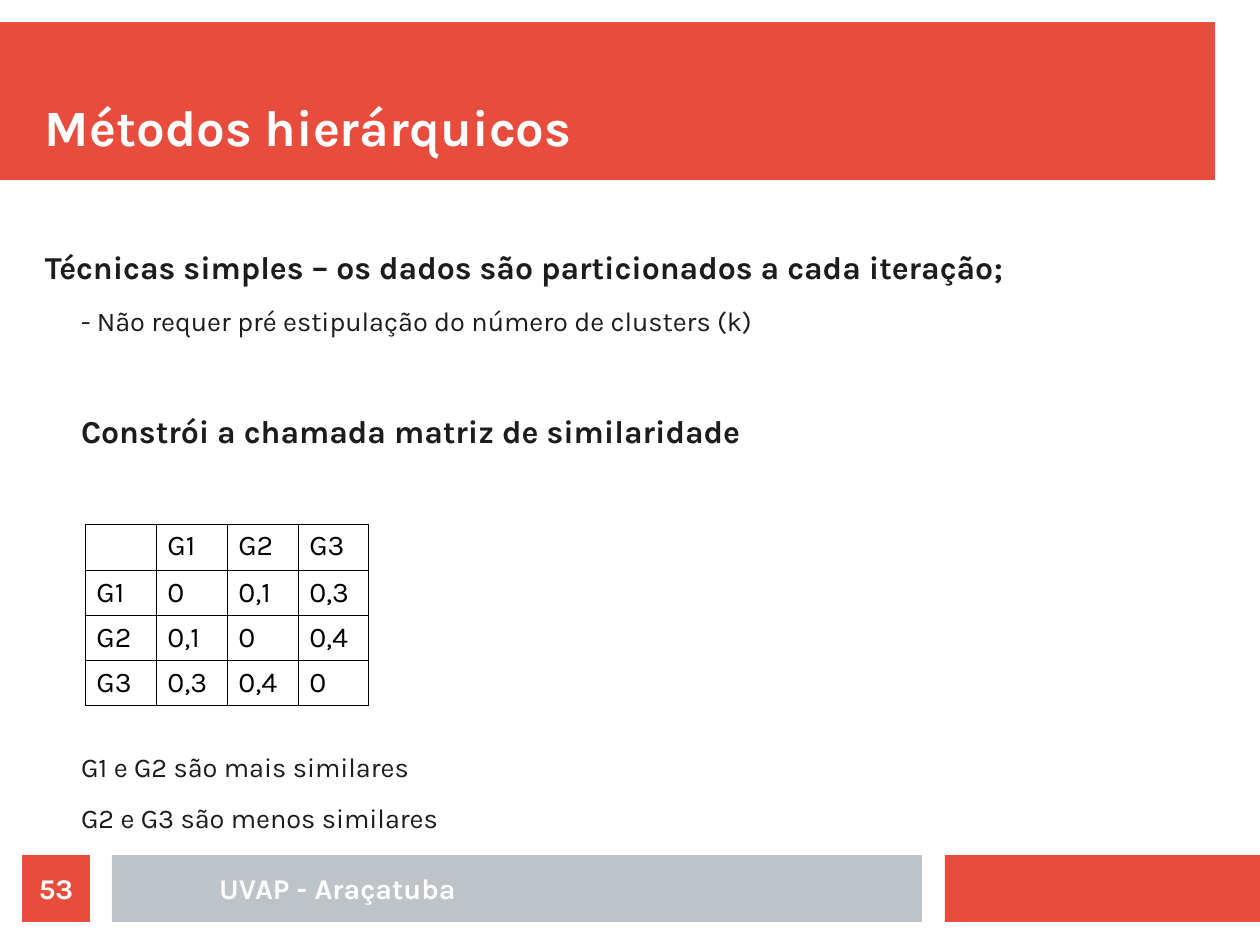
"""Build the slide on hierarchical methods with its similarity matrix."""
from dataclasses import dataclass

from lxml.etree import SubElement as Sub
from pptx import Presentation
from pptx.dml.color import RGBColor
from pptx.enum.shapes import MSO_SHAPE as Kind
from pptx.enum.text import MSO_ANCHOR as Anchor, MSO_AUTO_SIZE as Auto, PP_ALIGN as Align
from pptx.oxml.ns import qn
from pptx.util import Pt

SCALE = 8000
FONT = "Karla"
RED, GREY, WHITE, INK, BLACK = "E74C3C", "BDC3C7", "FFFFFF", "1C1C1C", "000000"


@dataclass
class Box:
    left: int
    top: int
    width: int
    height: int

    def emu(self) -> list[int]:
        return [px(n) for n in (self.left, self.top, self.width, self.height)]


@dataclass
class Bar:
    box: Box
    fill: str


@dataclass
class Line:
    text: str
    size: float
    color: str
    bold: bool = False
    align: Align = Align.LEFT
    indent: int = 0
    before: float = 0
    after: float = 0


def px(n: int) -> int:
    return n * SCALE


def rgb(code: str) -> RGBColor:
    return RGBColor.from_string(code)


def style(item, values: dict) -> None:
    for name, value in values.items():
        setattr(item, name, value)


def write(frame, lines: list[Line]) -> None:
    for i, line in enumerate(lines):
        para = frame.add_paragraph() if i else frame.paragraphs[0]
        style(para, {"alignment": line.align, "space_before": Pt(line.before),
                     "space_after": Pt(line.after)})
        if line.indent:
            para._p.get_or_add_pPr().set("marL", str(px(line.indent)))
        run = para.add_run()
        run.text = line.text
        style(run.font, {"name": FONT, "size": Pt(line.size), "bold": line.bold})
        run.font.color.rgb = rgb(line.color)


def fit(frame, anchor: Anchor) -> None:
    style(frame, {"margin_left": 0, "margin_top": 0, "margin_right": 0,
                  "margin_bottom": 0, "word_wrap": True,
                  "auto_size": Auto.NONE, "vertical_anchor": anchor})


def draw(slide, bar: Bar):
    shape = slide.shapes.add_shape(Kind.RECTANGLE, *bar.box.emu())
    shape.shadow.inherit = False
    shape.fill.solid()
    shape.fill.fore_color.rgb = rgb(bar.fill)
    shape.line.fill.background()
    return shape


def label(slide, box: Box, anchor: Anchor, lines: list[Line]) -> None:
    frame = slide.shapes.add_textbox(*box.emu()).text_frame
    fit(frame, anchor)
    write(frame, lines)


def edge(cell) -> None:
    props = cell._tc.get_or_add_tcPr()
    for side in ("lnL", "lnR", "lnT", "lnB"):
        line = Sub(props, qn(f"a:{side}"), w=str(Pt(0.57)))
        fill = Sub(line, qn("a:solidFill"))
        Sub(fill, qn("a:srgbClr"), val=BLACK)


def grid(slide, box: Box, rows: list[list[str]]) -> None:
    table = slide.shapes.add_table(len(rows), len(rows[0]), *box.emu()).table
    style(table, {"first_row": False, "horz_banding": False})
    for r, row in enumerate(rows):
        for c, text in enumerate(row):
            cell = table.cell(r, c)
            edge(cell)
            cell.fill.background()
            if text:
                write(cell.text_frame, [Line(text, 18, BLACK)])


def matrix() -> list[list[str]]:
    names = ["G1", "G2", "G3"]
    values = [["0", "0,1", "0,3"], ["0,1", "0", "0,4"], ["0,3", "0,4", "0"]]
    return [["", *names]] + [[name, *row] for name, row in zip(names, values)]


BARS = [
    Bar(Box(0, 22, 1215, 158), RED),
    Bar(Box(945, 855, 315, 67), RED),
    Bar(Box(112, 855, 810, 67), GREY),
]
BODY = [
    Line("Técnicas simples – os dados são particionados a cada iteração;",
         20.1, INK, True, after=11.4),
    Line("- Não requer pré estipulação do número de clusters (k)",
         17.1, INK, indent=36, after=11.3),
    Line("Constrói a chamada matriz de similaridade",
         20.1, INK, True, indent=36, before=35.6, after=11.4),
    Line("G1 e G2 são mais similares", 17.1, INK, indent=36, before=178, after=11.3),
    Line("G2 e G3 são menos similares", 17.1, INK, indent=36),
]


def main() -> None:
    deck = Presentation()
    style(deck, {"slide_width": px(1260), "slide_height": px(945)})
    slide = deck.slides.add_slide(deck.slide_layouts[5])
    for bar in BARS:
        draw(slide, bar)

    title = slide.shapes.title
    slide.shapes._spTree.append(title._element)
    style(title, dict(zip(("left", "top", "width", "height"),
                          Box(45, 45, 1170, 112).emu())))
    fit(title.text_frame, Anchor.BOTTOM)
    write(title.text_frame, [Line("Métodos hierárquicos", 32, WHITE, True)])

    label(slide, Box(45, 248, 1148, 585), Anchor.TOP, BODY)
    grid(slide, Box(85, 524, 284, 180), matrix())
    label(slide, Box(135, 855, 405, 67), Anchor.MIDDLE,
          [Line("UVAP - Araçatuba", 18, WHITE, True, Align.CENTER)])

    page = draw(slide, Bar(Box(22, 855, 68, 67), RED)).text_frame
    fit(page, Anchor.MIDDLE)
    write(page, [Line("53", 18, WHITE, True, Align.CENTER)])
    deck.save("out.pptx")


if __name__ == "__main__":
    main()
